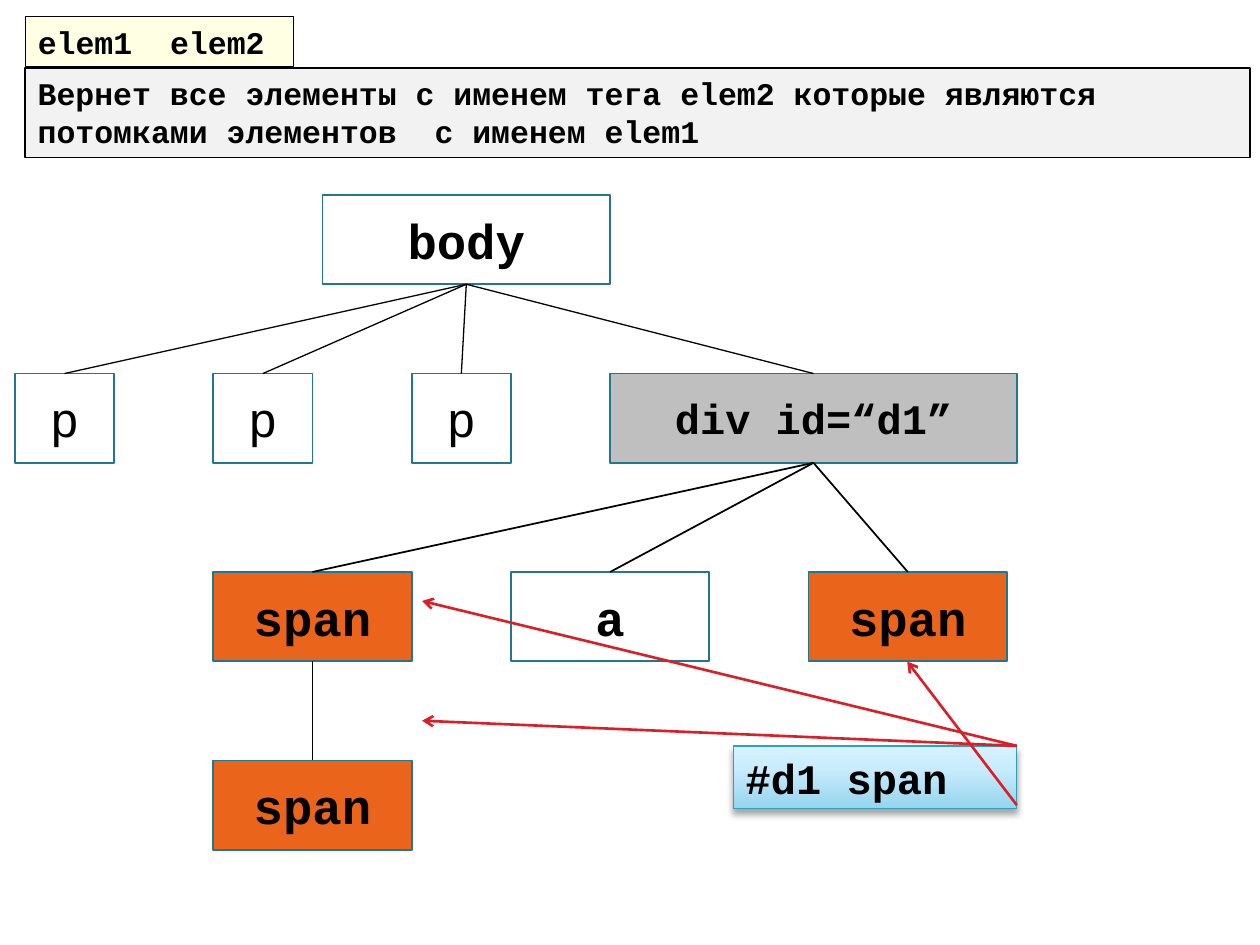
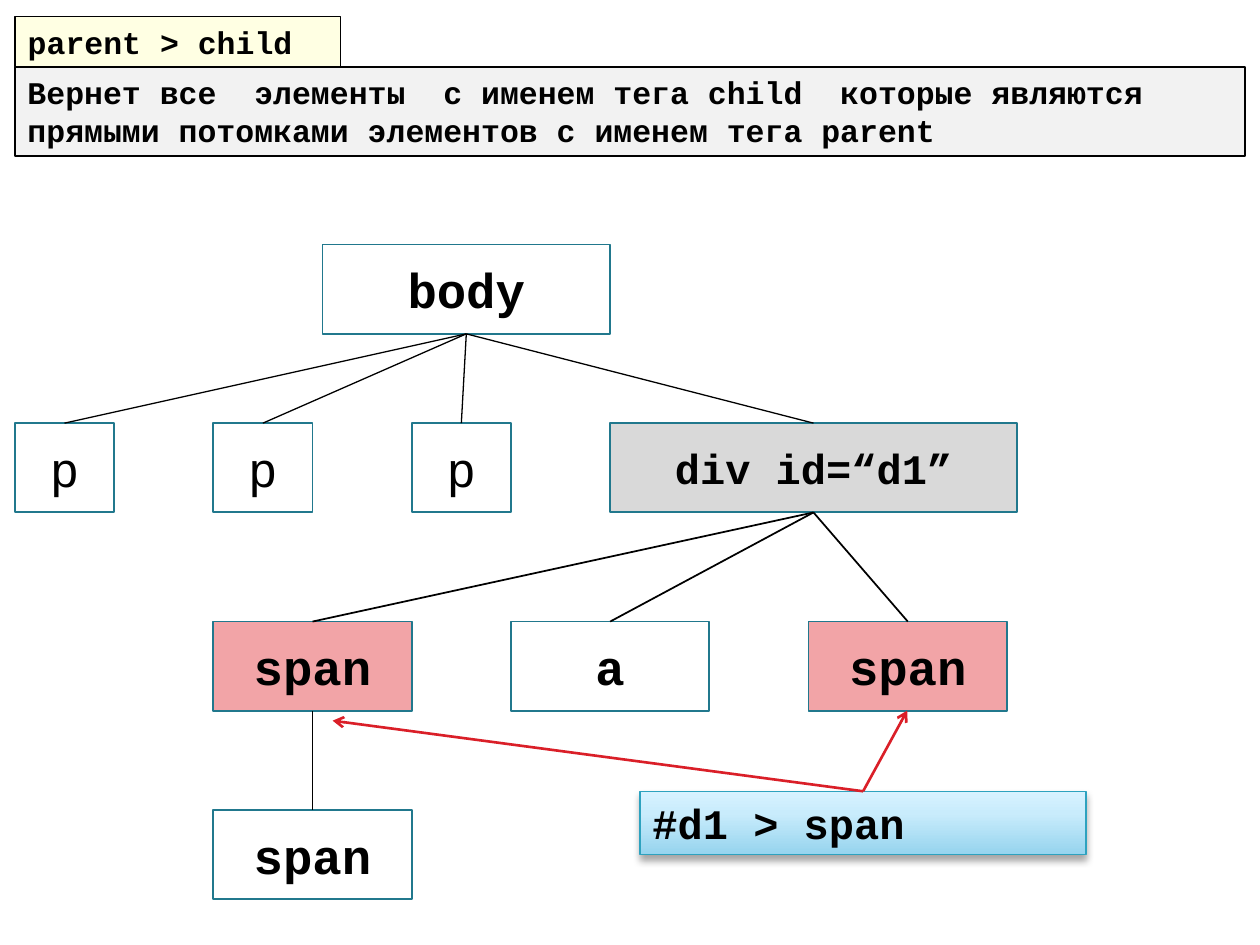
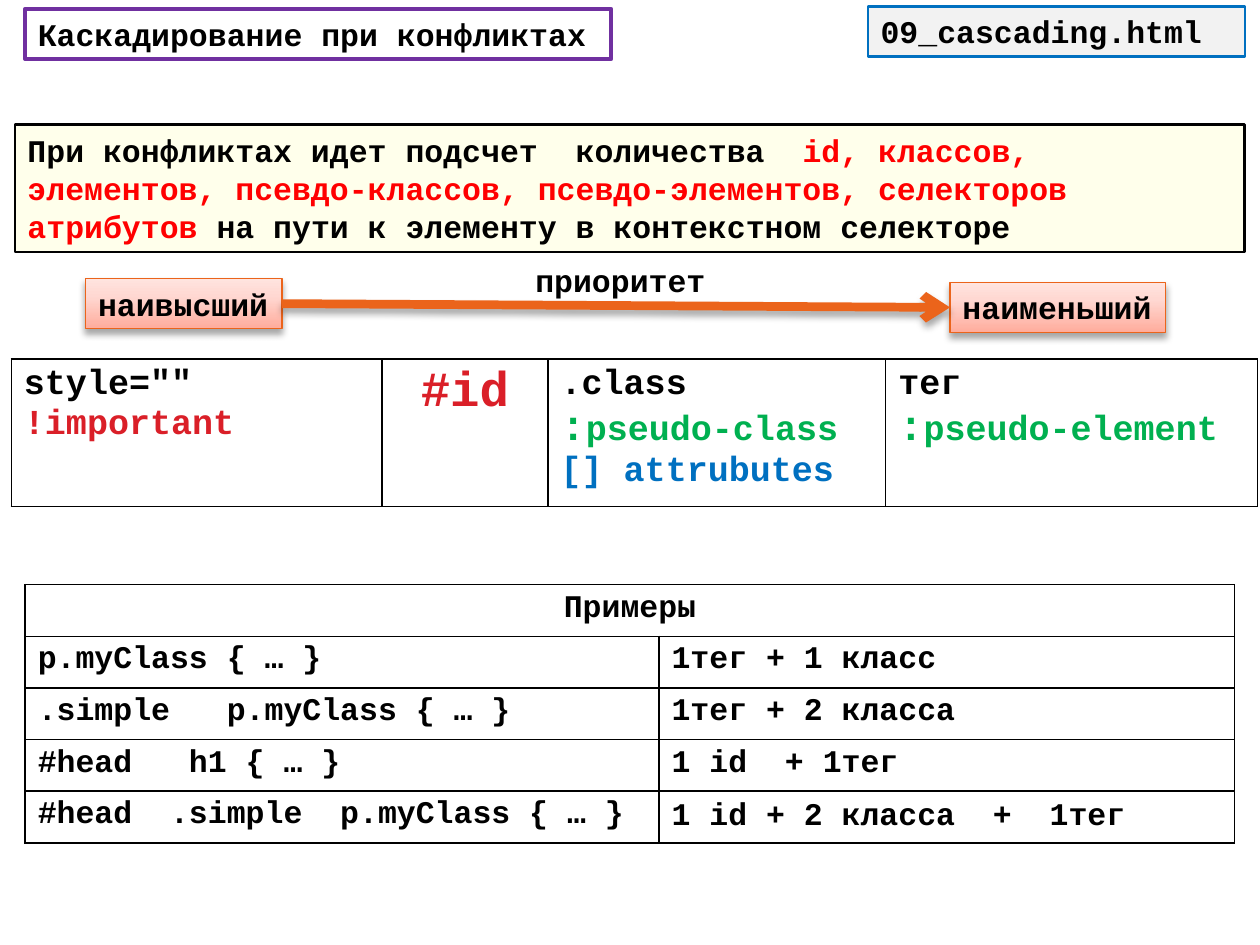
from pptx import Presentation
from pptx.dml.color import RGBColor
from pptx.enum.shapes import MSO_CONNECTOR, MSO_SHAPE
from pptx.enum.text import MSO_ANCHOR, MSO_AUTO_SIZE, PP_ALIGN
from pptx.oxml import parse_xml
from pptx.oxml.ns import nsdecls, qn
from pptx.util import Cm, Inches, Pt

RECTANGLE = MSO_SHAPE.RECTANGLE
STRAIGHT = MSO_CONNECTOR.STRAIGHT
TOP, MIDDLE = MSO_ANCHOR.TOP, MSO_ANCHOR.MIDDLE
LEFT, CENTER = PP_ALIGN.LEFT, PP_ALIGN.CENTER
FIXED_SIZE = MSO_AUTO_SIZE.NONE

FONT = "Courier New"
BLACK = RGBColor(0x00, 0x00, 0x00)
YELLOW = RGBColor(0xFF, 0xFF, 0x00)
PALE_GRAY = RGBColor(0xF2, 0xF2, 0xF2)
LIGHT_GRAY = RGBColor(0xD9, 0xD9, 0xD9)
GRAY = RGBColor(0xBF, 0xBF, 0xBF)
TEAL = RGBColor(0x21, 0x78, 0x8D)
SKY = RGBColor(0x2D, 0xA2, 0xBF)
BLUE = RGBColor(0x00, 0x70, 0xC0)
ORANGE = RGBColor(0xEB, 0x64, 0x1B)
PINK = RGBColor(0xF2, 0xA4, 0xA7)
CRIMSON = RGBColor(0xDA, 0x1F, 0x28)
RED = RGBColor(0xFF, 0x00, 0x00)
GREEN = RGBColor(0x00, 0xB0, 0x50)
PURPLE = RGBColor(0x70, 0x30, 0xA0)
SKY_STOPS = ((0, "96D4EE"), (65, "C9ECFC"), (100, "D7F2FF"))
ROSE_STOPS = ((0, "FFAC9C"), (65, "FFD8D2"), (100, "FFE4DF"))

SHADOW = (
    f'<a:outerShdw {nsdecls("a")} blurRad="50800" dist="38100" dir="5400000" '
    'rotWithShape="0"><a:srgbClr val="000000"><a:alpha val="35000"/>'
    "</a:srgbClr></a:outerShdw>"
)
BORDER = (
    '<a:{side} {spaces} w="12700"><a:solidFill><a:srgbClr val="000000"/>'
    "</a:solidFill></a:{side}>"
)

COLUMN = Cm(2)
TREE_LEFT = Cm(0.3)
NODE_HEIGHT = Cm(1.8)
LEVELS = (0, Cm(3.6), Cm(7.6), Cm(11.4))


def write(frame, paragraphs, align=LEFT, bold=True):
    for index, parts in enumerate(paragraphs):
        para = frame.add_paragraph() if index else frame.paragraphs[0]
        para.alignment = align
        for text, size, color in parts:
            run = para.add_run()
            run.text = text
            run.font.name = FONT
            run.font.size = Pt(size)
            run.font.bold = bold
            run.font.color.rgb = color


def style_box(shape, parts, fill, line, weight, align=LEFT, anchor=TOP, bold=True, opacity=100):
    if fill is None:
        shape.fill.background()
    elif isinstance(fill, RGBColor):
        shape.fill.solid()
        shape.fill.fore_color.rgb = fill
        if opacity < 100:
            color = shape._element.spPr.find(qn("a:solidFill"))[0]
            color.append(parse_xml(f'<a:alpha {nsdecls("a")} val="{opacity * 1000}"/>'))
    else:
        shape.fill.gradient()
        shape.fill.gradient_angle = 90
        stops = shape._element.spPr.find(qn("a:gradFill")).find(qn("a:gsLst"))
        for stop in list(stops):
            stops.remove(stop)
        for position, color in fill:
            stops.append(parse_xml(
                f'<a:gs {nsdecls("a")} pos="{position * 1000}"><a:srgbClr val="{color}"/></a:gs>'
            ))
    if line is None:
        shape.line.fill.background()
    else:
        shape.line.color.rgb = line
        shape.line.width = Pt(weight)
    shape.shadow.inherit = False
    if isinstance(fill, tuple) and not isinstance(fill, RGBColor):
        shape._element.spPr.find(qn("a:effectLst")).append(parse_xml(SHADOW))
    frame = shape.text_frame
    frame.word_wrap = True
    frame.auto_size = FIXED_SIZE
    frame.vertical_anchor = anchor
    write(frame, [parts], align, bold)


deck = Presentation()
deck.slide_width = Inches(10)
deck.slide_height = Inches(7.5)
title_only = deck.slide_layouts[5]
lines = []

selector_pages = [
    {
        "title": "elem1  elem2",
        "title_area": (0.2, 0.13, 2.13, 0.4),
        "rule": "Вернет все элементы c именем тега elem2 которые являются "
                "потомками элементов  с именем elem1",
        "rule_area": (0.2, 0.54, 9.72, 0.71),
        "tree_top": Cm(3.93),
        "fills": {"div": GRAY, "child": ORANGE, "nested": ORANGE},
        "query": "#d1 span",
        "query_area": (5.82, 5.92, 2.25, 0.5),
        "arrows": [((8.07, 6.39), (7.2, 5.25)), ((8.07, 5.92), (3.35, 4.77)),
                   ((8.07, 5.92), (3.35, 5.72))],
    },
    {
        "title": "parent > child",
        "title_area": (0.12, 0.13, 2.58, 0.4),
        "rule": "Вернет все  элементы  с именем тега child  которые являются "
                "прямыми потомками элементов с именем тега parent",
        "rule_area": (0.12, 0.53, 9.76, 0.71),
        "tree_top": Cm(4.93),
        "fills": {"div": LIGHT_GRAY, "child": PINK},
        "query": "#d1 > span",
        "query_area": (5.08, 6.28, 3.54, 0.5),
        "arrows": [((6.85, 6.28), (7.2, 5.64)), ((6.85, 6.28), (2.64, 5.72))],
    },
]

tree = [
    ("body", "body", 3.1, 0, 2.9, None),
    ("p", "p", 0, 1, 1, 0),
    ("p", "p", 2, 1, 1, 0),
    ("p", "p", 4, 1, 1, 0),
    ("div", "div id=“d1”", 6, 1, 4.1, 0),
    ("child", "span", 2, 2, 2, 4),
    ("link", "a", 5, 2, 2, 4),
    ("child", "span", 8, 2, 2, 4),
    ("nested", "span", 2, 3, 2, 5),
]

for page in selector_pages:
    slide = deck.slides.add_slide(title_only)
    title = slide.shapes.title
    title.left, title.top, title.width, title.height = map(Inches, page["title_area"])
    style_box(title, [(page["title"], 18, BLACK)], YELLOW, BLACK, 0.75, opacity=11)

    nodes = []
    for role, label, column, level, span, parent in tree:
        node = slide.shapes.add_shape(
            RECTANGLE, TREE_LEFT + int(column * COLUMN), page["tree_top"] + LEVELS[level],
            int(span * COLUMN), NODE_HEIGHT)
        size = 24 if role == "div" else 28
        style_box(node, [(label, size, BLACK)], page["fills"].get(role), TEAL, 1,
                  CENTER, MIDDLE, role != "p")
        nodes.append(node)
        if parent is not None:
            upper = nodes[parent]
            start = (upper.left + upper.width // 2, upper.top + upper.height)
            end = (node.left + node.width // 2, node.top)
            lines.append((slide, start, end, BLACK, 0.75 if parent == 0 else 1, False))

    rule = slide.shapes.add_shape(RECTANGLE, *map(Inches, page["rule_area"]))
    style_box(rule, [(page["rule"], 18, BLACK)], PALE_GRAY, BLACK, 1)
    query = slide.shapes.add_shape(RECTANGLE, *map(Inches, page["query_area"]))
    style_box(query, [(page["query"], 24, BLACK)], SKY_STOPS, SKY, 0.75)
    for start, end in page["arrows"]:
        lines.append((slide, tuple(map(Inches, start)), tuple(map(Inches, end)), CRIMSON, 1.5, True))

slide = deck.slides.add_slide(title_only)
title = slide.shapes.title
title.left, title.top, title.width, title.height = map(Inches, (0.2, 0.07, 4.65, 0.4))
style_box(title, [("Каскадирование при конфликтах", 18, BLACK)], None, PURPLE, 2.25, anchor=MIDDLE)

notice = slide.shapes.add_shape(RECTANGLE, *map(Inches, (0.12, 0.99, 9.76, 1.01)))
notice_parts = [
    ("При конфликтах идет подсчет  количества  ", 18, BLACK),
    ("id, классов,  элементов, псевдо-классов, псевдо-элементов, селекторов атрибутов ", 18, RED),
    ("на пути к элементу в контекстном селекторе", 18, BLACK),
]
style_box(notice, notice_parts, YELLOW, BLACK, 1.5, opacity=8)

for label, area in [("наивысший", (0.68, 2.21, 1.56, 0.4)), ("наименьший", (7.54, 2.24, 1.71, 0.4))]:
    rank = slide.shapes.add_shape(RECTANGLE, *map(Inches, area))
    style_box(rank, [(label, 18, BLACK)], ROSE_STOPS, ORANGE, 0.75)
    rank.text_frame.word_wrap = False
lines.append((slide, (Inches(2.24), Inches(2.41)), (Inches(7.54), Inches(2.44)), ORANGE, 5, True))

priority = slide.shapes.add_textbox(*map(Inches, (4.15, 2.02, 1.57, 0.4)))
style_box(priority, [("приоритет", 18, BLACK)], None, None, 0)
file_name = slide.shapes.add_shape(RECTANGLE, *map(Inches, (6.89, 0.05, 2.99, 0.4)))
style_box(file_name, [("09_cascading.html", 18, BLACK)], PALE_GRAY, BLUE, 1.5)

priority_row = [
    [[('style=""', 20, BLACK)], [("!important", 20, CRIMSON)]],
    [[("#id", 28, CRIMSON)]],
    [[(".class", 20, BLACK)], [(":", 24, GREEN), ("pseudo-class", 20, GREEN)],
     [("[] attrubutes", 20, BLUE)]],
    [[("тег", 20, BLACK)], [(":", 24, GREEN), ("pseudo-element", 20, GREEN)]],
]
examples = [
    ("Примеры", ""),
    ("p.myClass { … }", "1тег + 1 класс"),
    (".simple   p.myClass { … }", "1тег + 2 классa"),
    ("#head   h1 { … }", "1 id  + 1тег"),
    ("#head  .simple  p.myClass { … }", "1 id + 2 класса  +  1тег"),
]
example_rows = [[[[(text, 18, BLACK)]] if text else [] for text in row] for row in examples]

tables = [
    (0.09, 2.85, (2.94, 1.32, 2.68, 2.95), 1.17, [priority_row], (0, 1)),
    (0.2, 4.64, (5.03, 4.57), 0.41, example_rows, (0, 0)),
]
for left, top, widths, row_height, rows, centered in tables:
    table = slide.shapes.add_table(
        len(rows), len(widths), Inches(left), Inches(top),
        Inches(sum(widths)), Inches(row_height * len(rows))).table
    table.first_row = False
    table.horz_banding = False
    for column, width in zip(table.columns, widths):
        column.width = Inches(width)
    for row_index, row in enumerate(rows):
        table.rows[row_index].height = Inches(row_height)
        for column_index, paragraphs in enumerate(row):
            cell = table.cell(row_index, column_index)
            align = CENTER if (row_index, column_index) == centered else LEFT
            write(cell.text_frame, paragraphs, align)
            cell.fill.background()
            properties = cell._tc.get_or_add_tcPr()
            for position, side in enumerate(("lnL", "lnR", "lnT", "lnB")):
                border = parse_xml(BORDER.format(side=side, spaces=nsdecls("a")))
                properties.insert(position, border)
table.cell(0, 0).merge(table.cell(0, 1))
table.cell(4, 1).vertical_anchor = MIDDLE

for slide, start, end, color, weight, arrow in lines:
    line = slide.shapes.add_connector(STRAIGHT, *start, *end)
    line.line.color.rgb = color
    line.line.width = Pt(weight)
    outline = line._element.spPr
    effects = parse_xml(f'<a:effectLst {nsdecls("a")}/>')
    outline.append(effects)
    if arrow:
        outline.find(qn("a:ln")).append(parse_xml(f'<a:tailEnd {nsdecls("a")} type="arrow"/>'))
    if color == ORANGE:
        effects.append(parse_xml(SHADOW))

deck.save("out.pptx")
